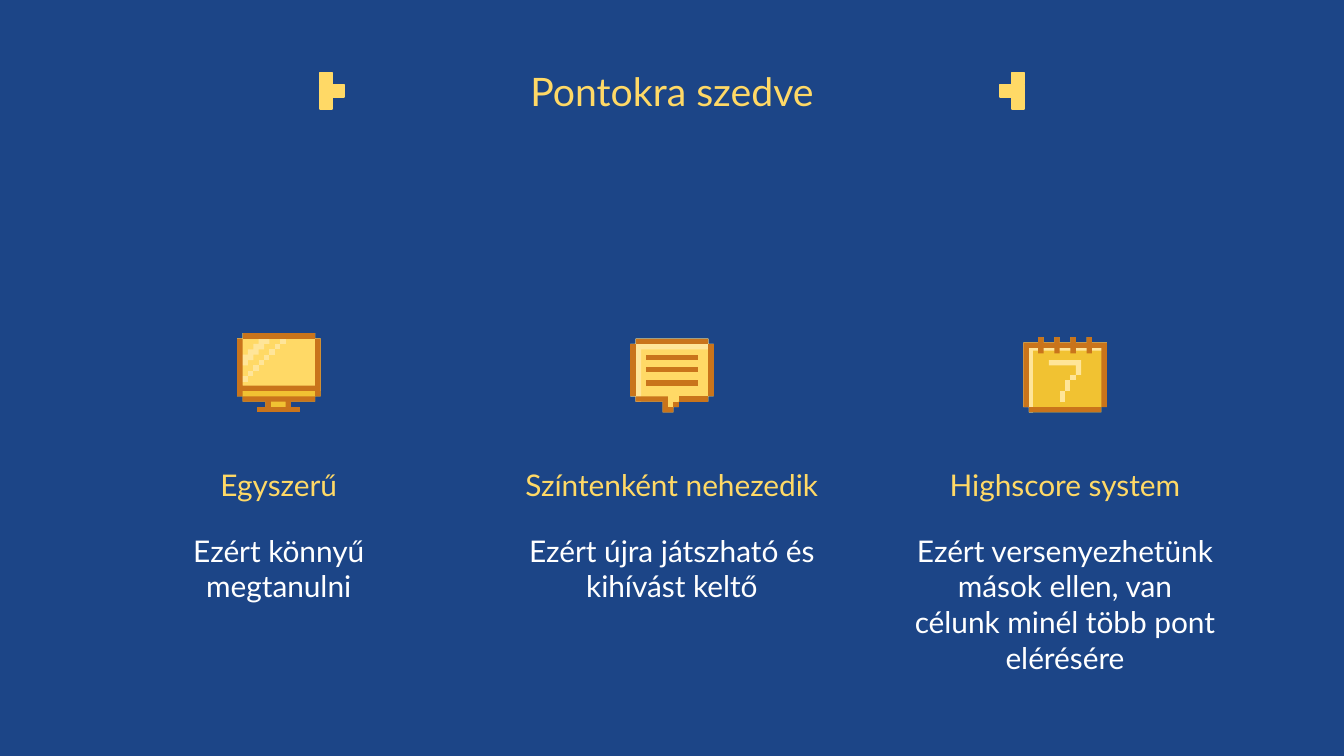
from pptx import Presentation
from pptx.dml.color import RGBColor
from pptx.enum.text import MSO_ANCHOR, PP_ALIGN
from pptx.util import Pt

NAVY, WHITE = "1C4587", "FFFFFF"
YELLOW, GOLD, CREAM, BROWN = "FFD966", "F1C232", "FFE599", "C9741B"
UNIT = 0.72
ICON_WIDTH = 62 * UNIT
CELL = 9

RING_XS = (11, 23, 35, 47)
RING_TOPS = [corner for x in RING_XS for corner in ((x, 3), (x + 4, 7))]
RING_FEET = [corner for x in reversed(RING_XS) for corner in ((x + 4, 15), (x, 11))]

# Each outline lists corners; its sides run horizontally, then vertically, to the next.
MONITOR = [
    (GOLD, [(4, 0), (58, 4), (62, 47), (58, 51), (40, 55), (21, 51), (4, 47), (0, 4)]),
    (YELLOW, [(4, 0), (58, 4), (62, 43), (0, 4)]),
    *[(CREAM, [(x, 36 - x), (x + 4, 40 - x)]) for x in range(8, 32, 4)],
    (CREAM, [(16, 0), (24, 8), (20, 12), (16, 16), (12, 20), (8, 24),
             (0, 16), (8, 12), (12, 8)]),
    (CREAM, [(32, 0), (36, 8)]),
    (CREAM, [(0, 32), (8, 36)]),
    (BROWN, [(0, 4), (4, 39), (58, 4), (62, 47), (58, 43), (4, 47)]),
    (BROWN, [(15, 55), (47, 59)]),
    (BROWN, [(4, 0), (58, 4)]),
    (BROWN, [(4, 47), (58, 51), (40, 55), (36, 51), (25, 55), (21, 51)]),
]
BUBBLE = [
    (YELLOW, [(4, 4), (58, 8), (62, 47), (58, 51), (36, 55), (32, 59),
              (24, 51), (4, 47), (0, 8)]),
    (CREAM, [(4, 4), (58, 8), (62, 12), (8, 51), (4, 47), (0, 8)]),
    (BROWN, [(32, 51), (36, 55)]),
    (BROWN, [(0, 8), (4, 47)]),
    (BROWN, [(58, 8), (62, 47)]),
    (BROWN, [(4, 47), (28, 55), (32, 59), (24, 51)]),
    (BROWN, [(4, 4), (58, 8)]),
    (BROWN, [(36, 47), (58, 51)]),
    *[(BROWN, [(12, y), (50, y + 4)]) for y in (16, 25, 35)],
]
CALENDAR = [
    (GOLD, RING_TOPS + [(62, 55), (58, 59), (4, 55), (0, 7)]),
    (CREAM, [(27, 43), (31, 51)]),
    (CREAM, [(19, 20), (43, 31), (39, 24)]),
    (CREAM, [(31, 35), (35, 43)]),
    (CREAM, [(35, 31), (39, 35)]),
    (CREAM, [(0, 7), (62, 13), (7, 59), (4, 55)]),
    (BROWN, [(4, 55), (58, 59)]),
    (BROWN, RING_TOPS + [(62, 55), (58, 11)] + RING_FEET + [(4, 55), (0, 7)]),
]
POINTS = [
    (MONITOR, "Egyszerű", "Ezért könnyű megtanulni"),
    (BUBBLE, "Színtenként nehezedik", "Ezért újra játszható és kihívást keltő"),
    (CALENDAR, "Highscore system",
     "Ezért versenyezhetünk mások ellen, van célunk minél több pont elérésére"),
]


def color(value):
    return RGBColor.from_string(value)


def apply_format(target, values):
    for name, value in values.items():
        setattr(target, name, value)


def add_text(slide, box, wording, size, ink, anchor):
    frame = slide.shapes.add_textbox(*map(Pt, box)).text_frame
    apply_format(frame, {
        "word_wrap": True, "vertical_anchor": anchor,
        "margin_left": Pt(7.2), "margin_right": Pt(7.2),
        "margin_top": Pt(7.2), "margin_bottom": Pt(7.2),
    })
    paragraph = frame.paragraphs[0]
    paragraph.alignment = PP_ALIGN.CENTER
    run = paragraph.add_run()
    run.text = wording
    apply_format(run.font, {"name": "Lato", "size": Pt(size)})
    run.font.color.rgb = color(ink)


def add_pixel_art(slide, left, top, outlines, edge=None):
    group = slide.shapes.add_group_shape()
    for ink, corners in outlines:
        following = corners[1:] + corners[:1]
        vertices = [vertex for (x, y), (next_x, _) in zip(corners, following)
                    for vertex in ((x, y), (next_x, y))]
        builder = group.shapes.build_freeform(*vertices[0], scale=Pt(UNIT))
        builder.add_line_segments(vertices[1:], close=True)
        part = builder.convert_to_shape(Pt(left), Pt(top))
        part.shadow.inherit = False
        part.fill.solid()
        part.fill.fore_color.rgb = color(ink)
        if edge:
            part.line.color.rgb = color(ink)
            part.line.width = Pt(edge)
        else:
            part.line.fill.background()


def add_heading(slide, box, wording):
    left, top, width, _ = box
    add_text(slide, box, wording, 21, YELLOW, MSO_ANCHOR.BOTTOM)
    marker_width = 2 * CELL * UNIT
    for outer, inner, marker_left in (
        (0, CELL, left + 146.9),
        (CELL, 0, left + width - 146.9 - marker_width),
    ):
        cells = [(outer, row * CELL) for row in range(3)] + [(inner, CELL)]
        marker = [(YELLOW, [(x, y), (x + CELL, y + CELL)]) for x, y in cells]
        add_pixel_art(slide, marker_left, top + 15.9, marker, 0.75)


def add_point(slide, box, icon, title, detail):
    left, top, width, height = box
    add_text(slide, (left, top + 67, width, 31), title, 16, YELLOW, MSO_ANCHOR.BOTTOM)
    add_text(slide, (left, top + 99.4, width, height - 99.4), detail, 16, WHITE,
             MSO_ANCHOR.TOP)
    add_pixel_art(slide, left + (width - ICON_WIDTH) / 2, top, icon)


def main():
    deck = Presentation()
    apply_format(deck, {"slide_width": Pt(720), "slide_height": Pt(405)})
    slide = deck.slides.add_slide(deck.slide_layouts[6])
    slide.background.fill.solid()
    slide.background.fill.fore_color.rgb = color(NAVY)
    add_heading(slide, (24.5, 23, 671, 45.4), "Pontokra szedve")
    for column, point in enumerate(POINTS):
        add_point(slide, (60.5 + column * 210.6, 178.5, 177.8, 186.5), *point)
    deck.save("out.pptx")


if __name__ == "__main__":
    main()
